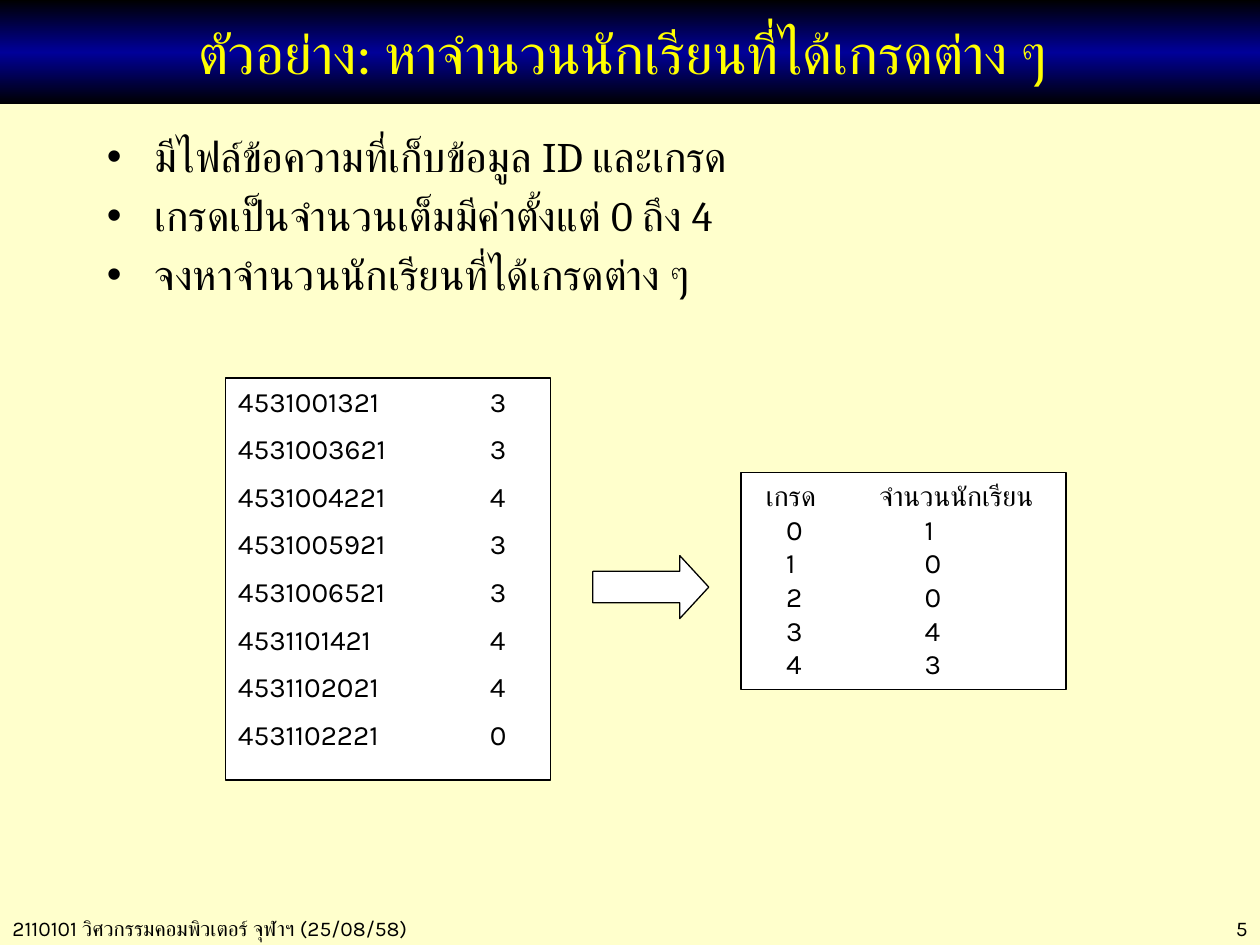
import copy

import pptx
import pptx.dml.color
import pptx.enum.shapes
import pptx.enum.text
import pptx.oxml
import pptx.oxml.ns
import pptx.util
from lxml import etree

# Content
TITLE = "ตัวอย่าง: หาจำนวนนักเรียนที่ได้เกรดต่าง ๆ "
POINTS = [
    "มีไฟล์ข้อความที่เก็บข้อมูล ID และเกรด",
    "เกรดเป็นจำนวนเต็มมีค่าตั้งแต่ 0 ถึง 4",
    "จงหาจำนวนนักเรียนที่ได้เกรดต่าง ๆ",
]
STUDENTS = [
    ("4531001321", 3), ("4531003621", 3), ("4531004221", 4), ("4531005921", 3),
    ("4531006521", 3), ("4531101421", 4), ("4531102021", 4), ("4531102221", 0),
]
COUNT_HEADER = ("เกรด", "จำนวนนักเรียน")
COUNTS = [(0, 1), (1, 0), (2, 0), (3, 4), (4, 3)]
COURSE = "2110101 วิศวกรรมคอมพิวเตอร์ จุฬาฯ (25/08/58)"
PAGE = "5"

COLORS = {"paper": "FFFFCC", "ink": "000000", "band": "000099",
          "title": "FFFF00", "box": "FFFFFF"}

# Grid: square cells, 10 columns by 7.5 rows
COLS, ROWS = 10, 7.5
CELL = pptx.util.Inches(1)
BAND_H = 0.83
FOOTER_H, FOOTER_TOP = 0.3, 7.22
COURSE_W, PAGE_W = 3.9, 1.38
BOX_W = 2.58
LIST_LEFT, COUNT_LEFT = 1.79, 5.88
ARROW_W, ARROW_H = 0.92, 0.5
ARROW_LEFT = (LIST_LEFT + BOX_W + COUNT_LEFT - ARROW_W) / 2 + 0.04
GRADE_TAB = [2]
HEADER_TABS = [0.1, 1]
COUNT_TABS = [0.26, 1.36]

ALIGN = pptx.enum.text.PP_ALIGN
SHAPES = pptx.enum.shapes.MSO_SHAPE

deck = pptx.Presentation()
deck.slide_width, deck.slide_height = int(COLS * CELL), int(ROWS * CELL)
slide = deck.slides.add_slide(deck.slide_layouts[6])


def rgb(name):
    return pptx.dml.color.RGBColor.from_string(COLORS[name])


def cells(*lengths):
    return [int(length * CELL) for length in lengths]


def add_box(kind, *place):
    box = slide.shapes.add_shape(kind, *cells(*place))
    box.shadow.inherit = False
    box.fill.solid()
    box.fill.fore_color.rgb = rgb("box")
    box.line.color.rgb = rgb("ink")
    box.line.width = pptx.util.Pt(0.75)
    return box


def add_property(paragraph, tag, **attributes):
    return etree.SubElement(paragraph._p.get_or_add_pPr(),
                            pptx.oxml.ns.qn(tag), **attributes)


def write(shape, lines, size=16, font="Karla", color="ink", align=ALIGN.LEFT,
          anchor=pptx.enum.text.MSO_ANCHOR.TOP, before=0, bullet=None, tabs=None):
    """Fill a shape with paragraphs; tabs holds one list of stops per line."""
    frame = shape.text_frame
    frame.word_wrap = True
    frame.vertical_anchor = anchor
    for i, line in enumerate(lines):
        paragraph = frame.add_paragraph() if i else frame.paragraphs[0]
        paragraph.alignment = align
        if i and before:
            paragraph.space_before = pptx.util.Pt(before)
        run = paragraph.add_run()
        run.text = line
        run.font.size = pptx.util.Pt(size)
        run.font.name = font
        run.font.color.rgb = rgb(color)
        if bullet:
            indent = cells(0.38)[0]
            properties = paragraph._p.get_or_add_pPr()
            properties.set("marL", str(indent))
            properties.set("indent", str(-indent))
            add_property(paragraph, "a:buFont", typeface="Arial")
            add_property(paragraph, "a:buChar", char=bullet)
        if tabs:
            stops = add_property(paragraph, "a:tabLst")
            for stop in cells(*tabs[i]):
                etree.SubElement(stops, pptx.oxml.ns.qn("a:tab"),
                                 pos=str(stop), algn="l")


def add_text(place, lines, **style):
    write(slide.shapes.add_textbox(*cells(*place)), lines, **style)


# Background and footer
slide.background.fill.solid()
slide.background.fill.fore_color.rgb = rgb("paper")
add_text((0, FOOTER_TOP, COURSE_W, FOOTER_H), [COURSE], size=12)
add_text((COLS - PAGE_W, FOOTER_TOP, PAGE_W, FOOTER_H), [PAGE], size=12,
         align=ALIGN.RIGHT)

# Title band, dark at both edges
band = add_box(SHAPES.RECTANGLE, 0, 0, COLS, BAND_H)
band.line.fill.background()
band.fill.gradient()
band.fill.gradient_angle = 90
stop_list = band._element.spPr.find(".//" + pptx.oxml.ns.qn("a:gsLst"))
stop_list.insert(1, copy.deepcopy(stop_list[0]))
for stop, (position, name) in zip(band.fill.gradient_stops,
                                  [(0, "ink"), (0.5, "band"), (1, "ink")]):
    stop.position = position
    stop.color.rgb = rgb(name)
write(band, [TITLE], size=32, font="Calibri", color="title", align=ALIGN.CENTER,
      anchor=pptx.enum.text.MSO_ANCHOR.MIDDLE)

# Task description
add_text((0.75, 0.99, 8.66, 5.58), POINTS, size=24, font="Cambria", before=4.8,
         bullet="•")

# Input file
student_list = add_box(SHAPES.RECTANGLE, LIST_LEFT, 3, BOX_W, 3.19)
write(student_list, [f"{student}\t{grade}" for student, grade in STUDENTS],
      before=8, tabs=[GRADE_TAB] * len(STUDENTS))

# Number of students per grade
grade_counts = add_box(SHAPES.RECTANGLE, COUNT_LEFT, 3.75, BOX_W, 1.72)
write(grade_counts,
      [f"\t{grade}\t{count}" for grade, count in [COUNT_HEADER] + COUNTS],
      tabs=[HEADER_TABS] + [COUNT_TABS] * len(COUNTS))

# Arrow from file to counts
arrow = add_box(SHAPES.RIGHT_ARROW, ARROW_LEFT, 4.41, ARROW_W, ARROW_H)
arrow.adjustments[0], arrow.adjustments[1] = 0.5, 0.46

deck.save("out.pptx")
